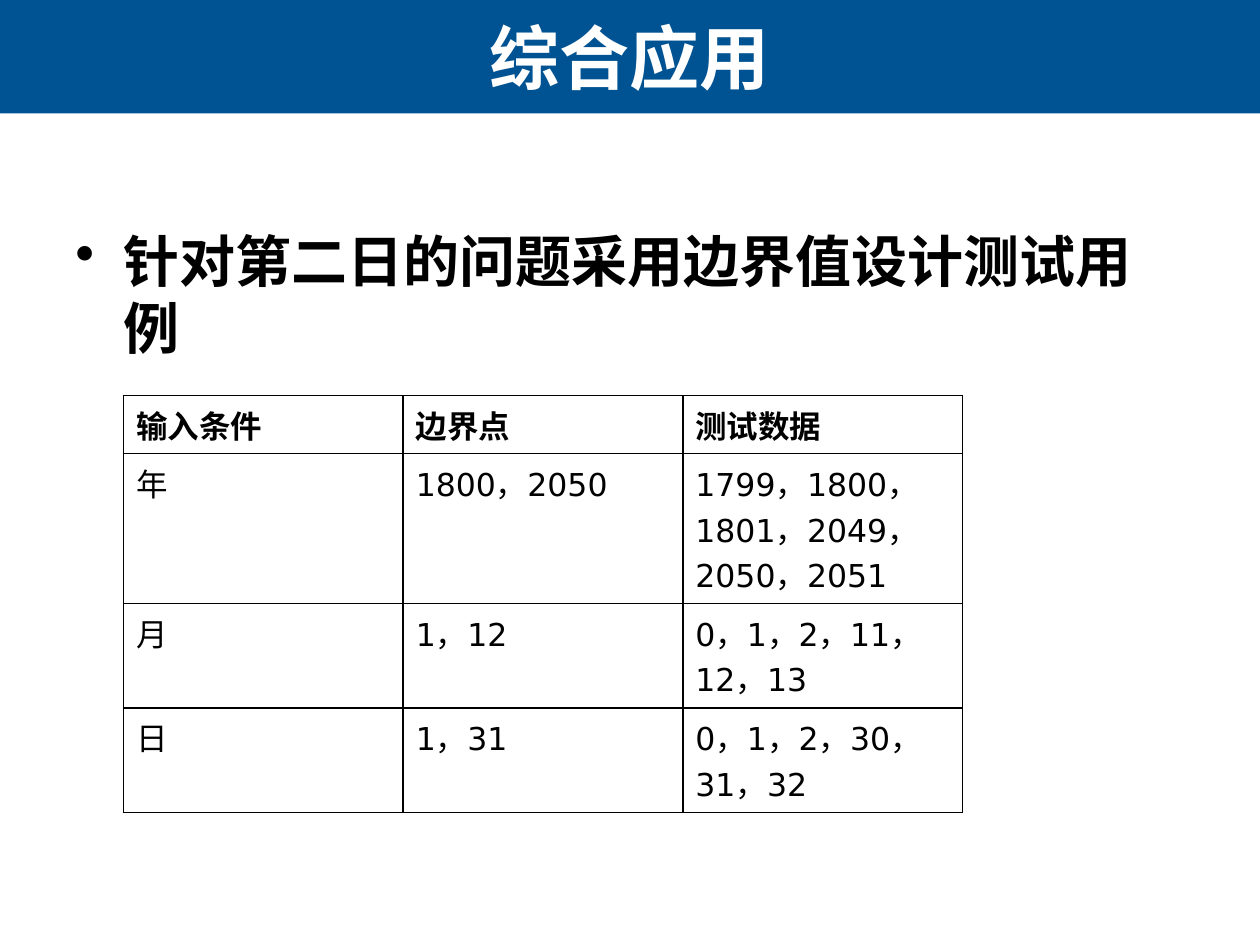
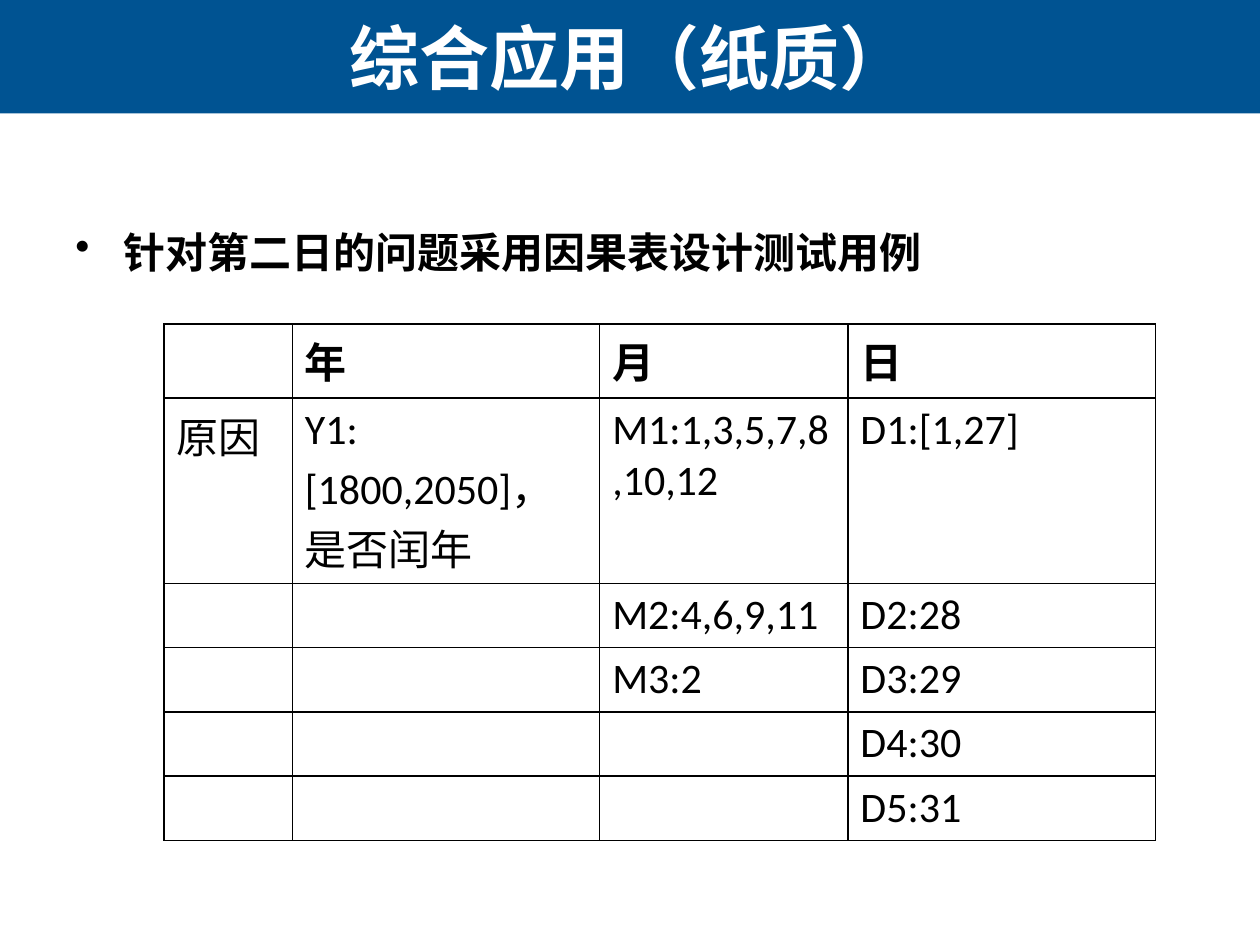
"""Build two slides on test case design, each with a title band, a bullet and a table."""
from lxml import etree
from pptx import Presentation, util as u
from pptx.dml.color import RGBColor
from pptx.enum import shapes, text
from pptx.oxml.ns import qn

HUES = {"band": "005392", "ink": "000000", "paper": "FFFFFF"}
HAN = "Noto Sans CJK SC"

DECK = [
    {
        "title": "综合应用",
        "point": "针对第二日的问题采用边界值设计测试用例",
        "size": 32,
        "grid": {
            "at": (0.98, 3.14), "font": "DejaVu Sans", "size": 18,
            "cols": [2.22] * 3,
            "highs": [0.46, 1.19, 0.83, 0.83],
            "rows": [
                ["输入条件", "边界点", "测试数据"],
                ["年", "1800，2050", "1799，1800，1801，2049，2050，2051"],
                ["月", "1，12", "0，1，2，11，12，13"],
                ["日", "1，31", "0，1，2，30，31，32"],
            ],
        },
    },
    {
        "title": "综合应用（纸质）",
        "point": "针对第二日的问题采用因果表设计测试用例",
        "size": 24,
        "grid": {
            "at": (1.3, 2.57), "font": "Calibri", "size": 24,
            "cols": [1.02, 2.44, 1.97, 2.44],
            "highs": [0.59, 1.47] + [0.51] * 4,
            "rows": [
                ["", "年", "月", "日"],
                ["原因", "Y1:[1800,2050]，是否闰年", "M1:1,3,5,7,8,10,12", "D1:[1,27]"],
                ["", "", "M2:4,6,9,11", "D2:28"],
                ["", "", "M3:2", "D3:29"],
                ["", "", "", "D4:30"],
                ["", "", "", "D5:31"],
            ],
        },
    },
]


def hue(name):
    return RGBColor.from_string(HUES[name])


def write(para, words, size, face, ink="ink", bold=True):
    para.text = words
    font = para.font
    font.size, font.name, font.bold = u.Pt(size), face, bold
    font.color.rgb = hue(ink)
    han = etree.Element(qn("a:ea"), typeface=HAN)
    para._p.pPr.find(qn("a:defRPr")).find(qn("a:latin")).addnext(han)


def add_box(slide, *at):
    frame = slide.shapes.add_textbox(*map(u.Inches, at)).text_frame
    frame.word_wrap = True
    return frame


def add_title(slide, words):
    band = slide.shapes.add_shape(
        shapes.MSO_SHAPE.RECTANGLE, 0, 0, u.Inches(10), u.Inches(0.9))
    band.shadow.inherit = False
    band.fill.solid()
    band.fill.fore_color.rgb = hue("band")
    band.line.fill.background()
    frame = add_box(slide, -0.01, 0, 10.01, 0.9)
    frame.vertical_anchor = text.MSO_ANCHOR.MIDDLE
    para = frame.paragraphs[0]
    para.alignment = text.PP_ALIGN.CENTER
    write(para, words, 40, HAN, "paper")


def add_point(slide, words, size):
    para = add_box(slide, 0.5, 1.75, 9, 4.95).paragraphs[0]
    para.space_before = u.Pt(size * 0.2)
    write(para, words, size, "Arial")
    props = para._p.pPr
    props.set("marL", str(u.Inches(0.38)))
    props.set("indent", str(-u.Inches(0.38)))
    mark = etree.Element(qn("a:buChar"), char="•")
    props.find(qn("a:defRPr")).addprevious(mark)


def add_edges(cell):
    props = cell._tc.get_or_add_tcPr()
    for side in "LRTB":
        line = etree.SubElement(props, qn(f"a:ln{side}"), w=str(u.Pt(1)))
        fill = etree.SubElement(line, qn("a:solidFill"))
        etree.SubElement(fill, qn("a:srgbClr"), val=HUES["ink"])


def add_grid(slide, grid):
    rows, cols, highs = grid["rows"], grid["cols"], grid["highs"]
    size = map(u.Inches, (*grid["at"], sum(cols), sum(highs)))
    table = slide.shapes.add_table(len(rows), len(cols), *size).table
    table.first_row = table.horz_banding = False
    for col, wide in zip(table.columns, cols):
        col.width = u.Inches(wide)
    for r, (row, high) in enumerate(zip(rows, highs)):
        table.rows[r].height = u.Inches(high)
        for c, words in enumerate(row):
            cell = table.cell(r, c)
            add_edges(cell)
            cell.fill.background()
            if words:
                write(cell.text_frame.paragraphs[0], words,
                      grid["size"], grid["font"], bold=r == 0)


def main():
    deck = Presentation()
    deck.slide_width, deck.slide_height = u.Inches(10), u.Inches(7.5)
    for page in DECK:
        slide = deck.slides.add_slide(deck.slide_layouts[6])
        add_title(slide, page["title"])
        add_point(slide, page["point"], page["size"])
        add_grid(slide, page["grid"])
    deck.save("out.pptx")


if __name__ == "__main__":
    main()
